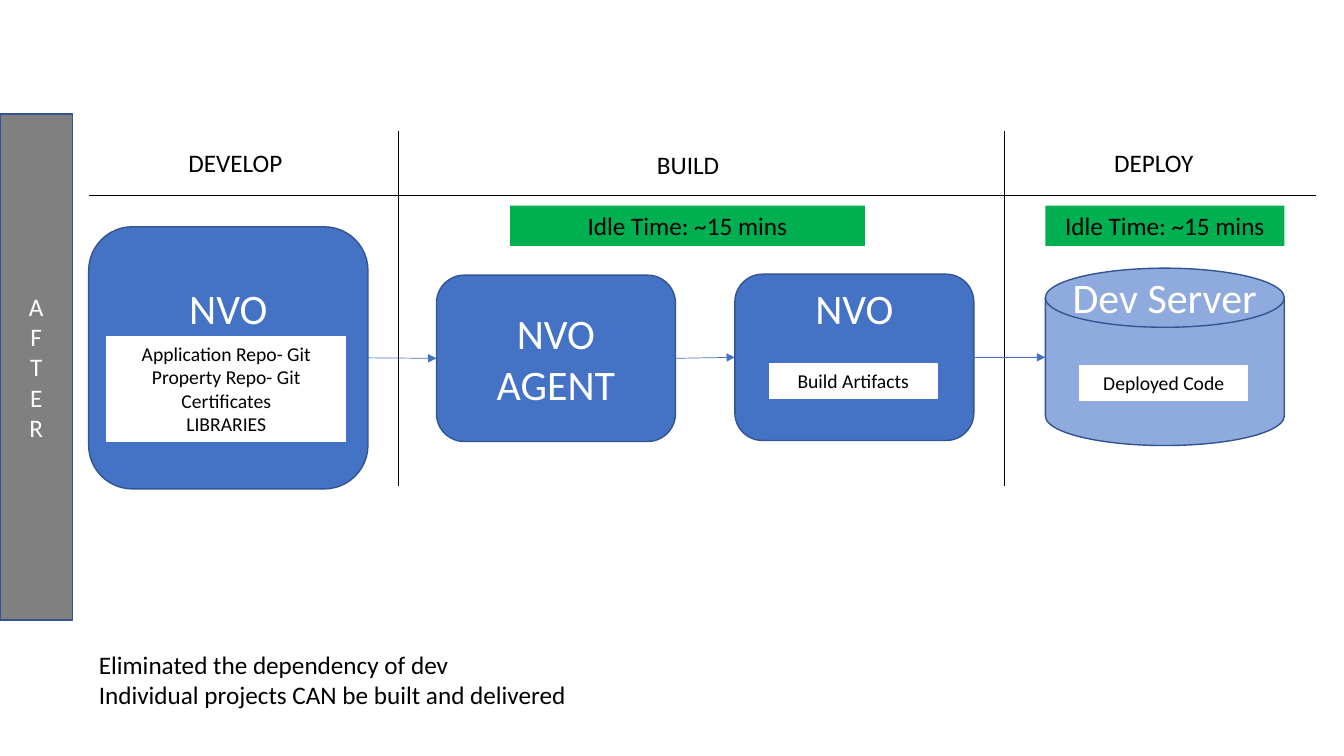
"""Build the AFTER pipeline slide: develop, build and deploy stages."""
from lxml.etree import SubElement
from pptx import Presentation
from pptx.dml.color import RGBColor as Rgb
from pptx.enum.shapes import MSO_CONNECTOR as Conn, MSO_SHAPE as Kind
from pptx.enum.text import MSO_ANCHOR as Anchor, PP_ALIGN as Align
from pptx.oxml.ns import qn
from pptx.util import Inches, Pt

WHITE, BLACK = Rgb(255, 255, 255), Rgb(0, 0, 0)
BLUE, PALE, NAVY = Rgb(0x44, 0x72, 0xC4), Rgb(0x8F, 0xAA, 0xDC), Rgb(0x32, 0x54, 0x91)
GRAY, GREEN = Rgb(128, 128, 128), Rgb(0, 0xB0, 0x50)

LOOKS = {
    "stage": dict(kind=Kind.ROUNDED_RECTANGLE, fill=BLUE, line=NAVY, wide=1,
                  size=30, color=WHITE, anchor=Anchor.MIDDLE),
    "disk": dict(kind=Kind.FLOWCHART_MAGNETIC_DISK, fill=PALE, line=NAVY, wide=1,
                 size=30, color=WHITE, anchor=Anchor.MIDDLE),
    "card": dict(kind=Kind.RECTANGLE, fill=WHITE, line=WHITE, wide=0.75,
                 size=14, color=BLACK, anchor=Anchor.TOP),
    "side": dict(kind=Kind.RECTANGLE, fill=GRAY, line=NAVY, wide=1,
                 size=18, color=WHITE, anchor=Anchor.MIDDLE),
    "idle": dict(kind=Kind.RECTANGLE, fill=GREEN, line=None,
                 size=18, color=BLACK, anchor=Anchor.TOP),
    "head": dict(size=18, color=BLACK, anchor=Anchor.TOP),
    "label": dict(size=30, color=WHITE, anchor=Anchor.TOP),
}
IDLE = ["Idle Time: ~15 mins"]
REPOS = ["Application Repo- Git", "Property Repo- Git", "Certificates", "LIBRARIES"]
NOTES = ["Eliminated the dependency of dev",
         "Individual projects CAN be built and delivered"]

PARTS = [
    ("repo", "stage", (6.6, 30, 20.78, 34.67), ["NVO"]),
    ("files", "card", (7.95, 44.53, 17.78, 13.87), REPOS),
    ("store", "stage", (54.68, 36.27, 17.78, 22), ["NVO"]),
    ("built", "card", (57.23, 48.13, 12.53, 4.53), ["Build Artifacts"]),
    ("agent", "stage", (32.48, 36.4, 17.78, 22), ["NVO AGENT"]),
    ("server", "disk", (77.78, 35.47, 17.78, 23.47), []),
    ("name", "label", (77.78, 35.5, 17.78, 8), ["Dev Server"]),
    ("code", "card", (80.33, 48.4, 12.53, 4.53), ["Deployed Code"]),
    ("develop", "head", (7.8, 18.8, 19.43, 5.33), ["DEVELOP"]),
    ("build", "head", (41.48, 19.07, 19.43, 5.33), ["BUILD"]),
    ("deploy", "head", (76.13, 18.8, 19.43, 5.33), ["DEPLOY"]),
    ("after", "side", (0, 15.07, 5.4, 66.93), list("AFTER")),
    ("wait", "idle", (37.95, 27.2, 26.4, 5.33), IDLE),
    ("pause", "idle", (77.78, 27.2, 17.78, 5.33), IDLE),
]
TOPS = {"repo": 0.43, "store": 0, "name": 0.03}
RULES = [(29.63, 17.33, 29.63, 64.27), (74.7, 17.33, 74.7, 64.27),
         (6.6, 25.87, 97.95, 25.87)]
FLOWS = [("repo", "agent"), ("agent", "store"), ("store", "server")]
NOTE_BOX = (6.6, 85.2, 87.3, 9.47)

deck = Presentation()
deck.slide_width, deck.slide_height = Inches(13.33), Inches(7.5)
slide = deck.slides.add_slide(deck.slide_layouts[1])
shapes = slide.shapes


def place(box):
    sides = (deck.slide_width, deck.slide_height) * 2
    return [round(side * part / 100) for side, part in zip(sides, box)]


def write(shape, lines, look, align=Align.CENTER):
    frame = shape.text_frame
    frame.word_wrap, frame.vertical_anchor = True, look["anchor"]
    for spot, line in enumerate(lines):
        para = frame.paragraphs[0] if spot == 0 else frame.add_paragraph()
        para.text, para.alignment, para.space_before = line, align, Pt(0)
        font = para.runs[0].font
        for key, value in dict(name="Calibri", size=Pt(look["size"])).items():
            setattr(font, key, value)
        font.color.rgb = look["color"]


def draw(look, box):
    if "kind" not in look:
        return shapes.add_textbox(*place(box))
    shape = shapes.add_shape(look["kind"], *place(box))
    shape.shadow.inherit = False
    shape.fill.solid()
    shape.fill.fore_color.rgb = look["fill"]
    if look["line"] is None:
        shape.line.fill.background()
    else:
        shape.line.color.rgb, shape.line.width = look["line"], Pt(look["wide"])
    return shape


def link(ends, color):
    line = shapes.add_connector(Conn.STRAIGHT, *place(ends))
    line.line.color.rgb, line.line.width = color, Pt(0.5)
    SubElement(line._element.spPr, qn("a:effectLst"))
    return line


made, boxes = {}, {}
for name, style, box, lines in PARTS:
    look = LOOKS[style]
    shape = draw(look, box)
    if name in TOPS:
        look = {**look, "anchor": Anchor.TOP}
        shape.text_frame.margin_top = Inches(TOPS[name])
    write(shape, lines, look)
    made[name], boxes[name] = shape, box

for ends in RULES:
    link(ends, BLACK)

for start, stop in FLOWS:
    left, top, width, height = boxes[start]
    level = top + height / 2
    arrow = link((left + width, level, boxes[stop][0], level), BLUE)
    arrow.begin_connect(made[start], 3)
    if stop != "server":
        arrow.end_connect(made[stop], 1)
    SubElement(arrow.line._get_or_add_ln(), qn("a:tailEnd"), type="triangle")

title, notes = slide.placeholders
title._element.getparent().remove(title._element)
notes.left, notes.top, notes.width, notes.height = place(NOTE_BOX)
write(notes, NOTES, LOOKS["head"], Align.LEFT)
for para in notes.text_frame.paragraphs:
    props = para._p.get_or_add_pPr()
    for key in ("marL", "indent"):
        props.set(key, "0")
    SubElement(props, qn("a:buNone"))

deck.save("out.pptx")
